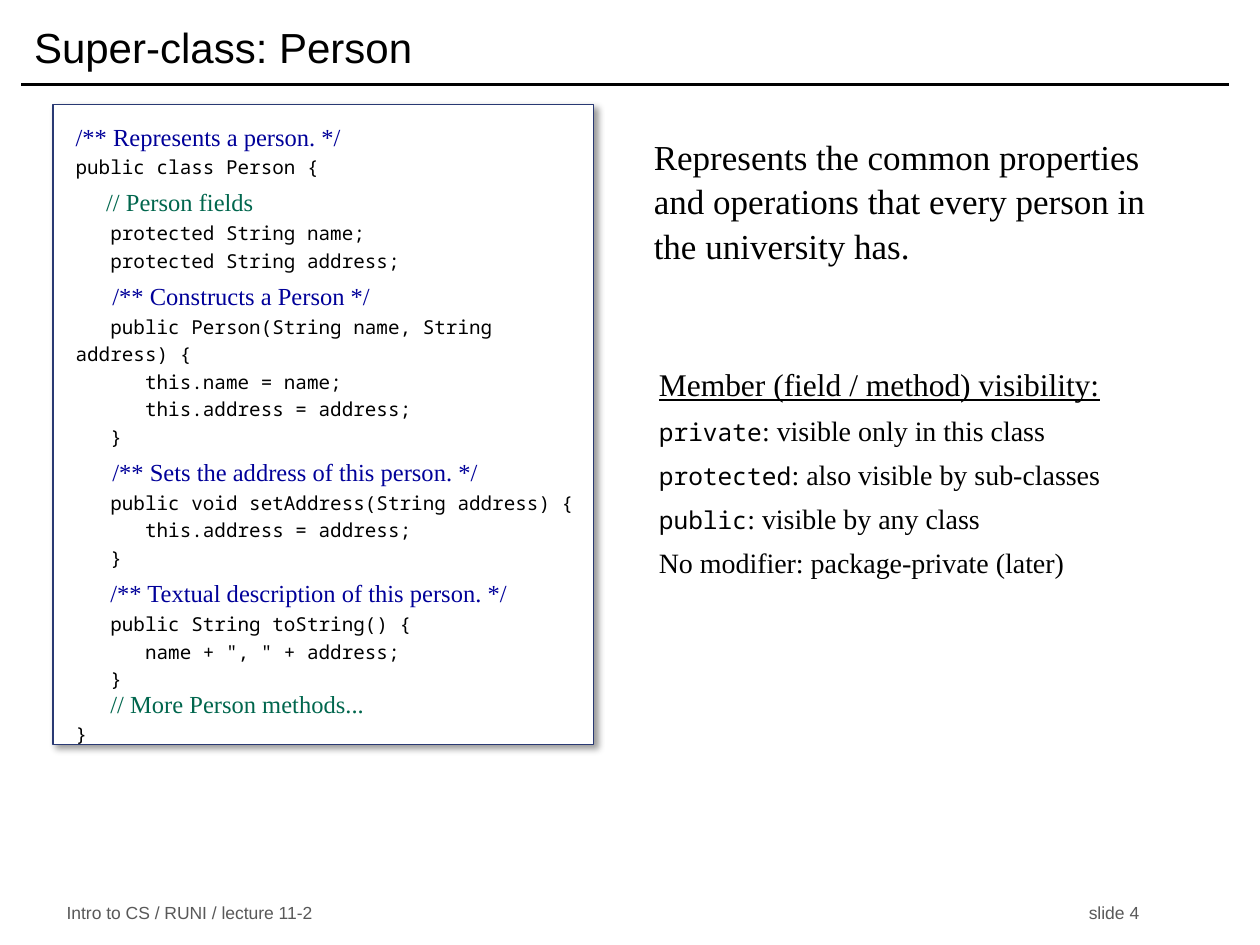
from lxml.etree import SubElement
from pptx import Presentation
from pptx.dml.color import RGBColor
from pptx.enum.shapes import MSO_CONNECTOR, MSO_SHAPE
from pptx.enum.text import MSO_ANCHOR, MSO_AUTO_SIZE, PP_ALIGN
from pptx.oxml.ns import qn
from pptx.util import Inches, Pt

COLORS = {"black": "000000", "white": "FFFFFF", "border": "293973",
          "doc": "000099", "note": "00664D", "footer": "595959"}
SERIF, MONO, SANS = "Times New Roman", "Noto Sans Mono", "Arial"
STYLES = {
    "title": (SANS, 24, "black"),
    "footer": (SANS, 10, "footer"),
    "doc": (SERIF, 14, "doc"),
    "note": (SERIF, 14, "note"),
    "code": (MONO, 11, "black"),
    "summary": (SERIF, 20, "black"),
    "heading": (SERIF, 18, "black"),
    "keyword": (MONO, 14, "black"),
    "meaning": (SERIF, 16, "black"),
}

TITLE = "Super-class: Person"
FOOTER = "Intro to CS / RUNI / lecture 11-2\tslide 4"
SUMMARY = ("Represents the common properties and operations "
           "that every person in the university has.")
CODE_BLOCKS = [
    [[("doc", "/** Represents a person. */")],
     [("code", "public class Person {")]],
    [[("note", "     // Person fields")],
     [("code", "   protected String name;")],
     [("code", "   protected String address;")]],
    [[("doc", "      /** Constructs a Person */")],
     [("code", "   public Person(String name, String address) {")],
     [("code", "      this.name = name;")],
     [("code", "      this.address = address;")],
     [("code", "   }")]],
    [[("doc", "      /** Sets the address of this person. */")],
     [("code", "   public void setAddress(String address) {")],
     [("code", "      this.address = address;")],
     [("code", "   }")]],
    [[("code", "   "), ("doc", "/** Textual description of this person. */")],
     [("code", "   public String toString() {")],
     [("code", "      name + \", \" + address;")],
     [("code", "   }")],
     [("code", "   "), ("note", "// More Person methods...")],
     [("code", "}")]],
]
VISIBILITY = [
    [("heading", "Member (field / method) visibility:")],
    [("keyword", "private"), ("meaning", ": visible only in this class")],
    [("keyword", "protected"), ("meaning", ": also visible by sub-classes")],
    [("keyword", "public"), ("meaning", ": visible by any class")],
    [("meaning", "No modifier: package-private (later)")],
]

LEFT, RIGHT = 0.17, 9.75
RULE_Y = 0.67


def color(name):
    return RGBColor.from_string(COLORS[name])


def place(left, top, width, height):
    return [Inches(value) for value in (left, top, width, height)]


def prepare(box, insets=(0.1, 0.05, 0.1, 0.05), anchor=MSO_ANCHOR.TOP):
    frame = box.text_frame
    frame.word_wrap = True
    frame.auto_size = MSO_AUTO_SIZE.NONE
    frame.vertical_anchor = anchor
    (frame.margin_left, frame.margin_top,
     frame.margin_right, frame.margin_bottom) = map(Inches, insets)
    return frame


def write(frame, lines, spacing=None, gaps=()):
    for index, spans in enumerate(lines):
        para = frame.paragraphs[0] if index == 0 else frame.add_paragraph()
        para.alignment = PP_ALIGN.LEFT
        if spacing:
            para.line_spacing = Pt(spacing)
        if index in gaps:
            para.space_before = Pt(6)
        for style, text in spans:
            span = para.add_run()
            span.text = text
            name, size, ink = STYLES[style]
            span.font.name = name
            span.font.size = Pt(size)
            span.font.color.rgb = color(ink)
            if style == "heading":
                span.font.underline = True


def add_shadow(shape):
    effects = SubElement(shape._element.spPr, qn("a:effectLst"))
    shadow = SubElement(effects, qn("a:outerShdw"), blurRad=str(Pt(4)),
                        dist=str(Pt(3)), dir=str(45 * 60000),
                        algn="tl", rotWithShape="0")
    ink = SubElement(shadow, qn("a:srgbClr"), val=COLORS["black"])
    SubElement(ink, qn("a:alpha"), val="40000")


def main():
    deck = Presentation()
    deck.slide_width, deck.slide_height = Inches(10), Inches(7.5)
    page = deck.slides.add_slide(deck.slide_layouts[5])
    shapes = page.shapes

    rule = shapes.add_connector(MSO_CONNECTOR.STRAIGHT, Inches(LEFT),
                                Inches(RULE_Y), Inches(RIGHT), Inches(RULE_Y))
    rule.line.color.rgb = color("black")
    rule.line.width = Pt(2)
    SubElement(rule._element.spPr, qn("a:effectLst"))

    footer = shapes.add_textbox(*place(0.43, 7.14, 8.71, 0.21))
    frame = prepare(footer, anchor=MSO_ANCHOR.MIDDLE)
    properties = frame.paragraphs[0]._p.get_or_add_pPr()
    tabs = SubElement(properties, qn("a:tabLst"))
    SubElement(tabs, qn("a:tab"), pos=str(Inches(8.53)), algn="r")
    write(frame, [[("footer", FOOTER)]])

    listing = shapes.add_shape(MSO_SHAPE.RECTANGLE, *place(0.42, 0.83, 4.29, 5.08))
    listing.fill.solid()
    listing.fill.fore_color.rgb = color("white")
    listing.line.color.rgb = color("border")
    listing.line.width = Pt(0.75)
    add_shadow(listing)
    lines, gaps = [], []
    for block in CODE_BLOCKS:
        if lines:
            gaps.append(len(lines))
        lines.extend(block)
    write(prepare(listing, (0.18, 0.15, 0, 0.29)), lines, 15.8, gaps)

    title = shapes.title
    title.left, title.top, title.width, title.height = place(
        LEFT, 0.08, RIGHT - LEFT, 0.58)
    write(prepare(title, anchor=MSO_ANCHOR.MIDDLE), [[("title", TITLE)]])

    callout = shapes.add_shape(MSO_SHAPE.ROUNDED_RECTANGULAR_CALLOUT,
                               *place(5.06, 2.83, 3.89, 1.83))
    for index, value in enumerate((-0.429, 0.028, 0.167)):
        callout.adjustments[index] = value
    callout.shadow.inherit = False
    callout.fill.solid()
    callout.fill.fore_color.rgb = color("white")
    callout.line.fill.background()
    write(prepare(callout, (0.08, 0.05, 0, 0.05), MSO_ANCHOR.MIDDLE),
          VISIBILITY, gaps=range(1, len(VISIBILITY)))

    summary = shapes.add_textbox(*place(5.09, 1, 4.49, 1.42))
    write(prepare(summary), [[("summary", SUMMARY)]], 25.6)

    deck.save("out.pptx")


if __name__ == "__main__":
    main()
